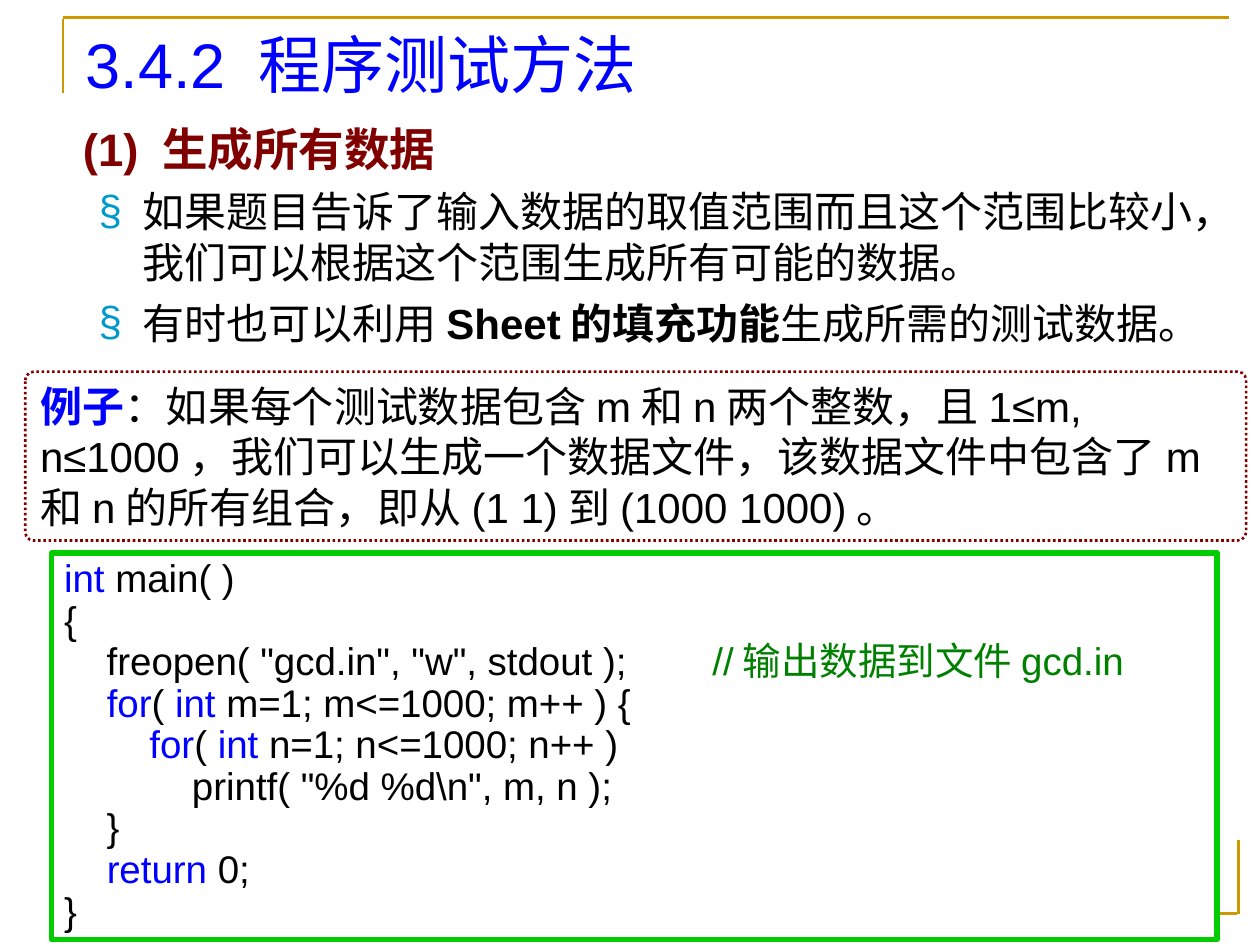
from lxml import etree
from pptx import Presentation
from pptx import util as u
from pptx.dml.color import RGBColor
from pptx.enum import dml, shapes, text
from pptx.oxml.ns import qn

COLORS = {
    "black": "000000", "white": "FFFFFF", "blue": "0000FF", "maroon": "800000",
    "comment": "008000", "frame": "00CC00", "gold": "CC9900", "bullet": "0099CC",
}


def rgb(name):
    return RGBColor.from_string(COLORS[name])


class SlideBuilder:
    font = "Arial"

    def __init__(self, prs):
        self.slide = prs.slides.add_slide(prs.slide_layouts[5])

    def style(self, r, size, color="black", bold=False):
        r.font.name = self.font
        r.font.size = u.Pt(size)
        r.font.bold = bold
        r.font.color.rgb = rgb(color)

    def title(self, wording, x, y, w, h, size):
        sp = self.slide.shapes.title
        sp.left, sp.top, sp.width, sp.height = map(u.Pt, (x, y, w, h))
        tf = sp.text_frame
        tf.text = wording
        tf.auto_size = text.MSO_AUTO_SIZE.NONE
        tf.vertical_anchor = text.MSO_ANCHOR.MIDDLE
        p = tf.paragraphs[0]
        p.alignment = text.PP_ALIGN.LEFT
        self.style(p.runs[0], size, "blue")

    def line(self, x1, y1, x2, y2):
        cn = self.slide.shapes.add_connector(
            shapes.MSO_CONNECTOR.STRAIGHT, *map(u.Pt, (x1, y1, x2, y2)))
        cn.line.color.rgb = rgb("gold")
        cn.line.width = u.Pt(1.5)
        etree.SubElement(cn._element.spPr, qn("a:effectLst"))

    def textbox(self, x, y, w, h):
        sp = self.slide.shapes.add_textbox(*map(u.Pt, (x, y, w, h)))
        sp.text_frame.word_wrap = True
        return sp.text_frame

    def panel(self, kind, x, y, w, h, color, width):
        sp = self.slide.shapes.add_shape(kind, *map(u.Pt, (x, y, w, h)))
        sp.shadow.inherit = False
        sp.fill.solid()
        sp.fill.fore_color.rgb = rgb("white")
        sp.line.color.rgb = rgb(color)
        sp.line.width = u.Pt(width)
        sp.text_frame.word_wrap = True
        return sp

    def paragraph(self, tf, runs, size, first=False, before=0, spacing=None):
        """Write one paragraph; each run is (wording, color, bold)."""
        p = tf.paragraphs[0] if first else tf.add_paragraph()
        p.alignment = text.PP_ALIGN.LEFT
        if before:
            p.space_before = u.Pt(before)
        if spacing:
            p.line_spacing = spacing
        for wording, *look in runs:
            r = p.add_run()
            r.text = wording
            self.style(r, size, *look)
        return p

    def bullet(self, p, indent, hang):
        pPr = p._p.get_or_add_pPr()
        pPr.set("marL", str(u.Pt(indent)))
        pPr.set("indent", str(-u.Pt(hang)))
        clr = etree.SubElement(pPr, qn("a:buClr"))
        etree.SubElement(clr, qn("a:srgbClr"), val=COLORS["bullet"])
        etree.SubElement(pPr, qn("a:buFont"), typeface=self.font)
        etree.SubElement(pPr, qn("a:buChar"), char="§")


def main():
    prs = Presentation()
    prs.slide_width, prs.slide_height = u.Pt(720), u.Pt(540)
    s = SlideBuilder(prs)

    # Corner lines
    s.line(36, 10.8, 36, 53.3)
    s.line(36, 10, 702, 10)
    s.line(707.8, 480, 707.8, 522)
    s.line(41, 522, 707, 522)

    # Title
    s.title("3.4.2 程序测试方法", 41.8, 12.2, 653.8, 48.2, 36)

    # Heading and bullets
    tf = s.textbox(40.3, 65.5, 656, 146)
    s.paragraph(tf, [("(1) 生成所有数据", "maroon", True)], 26, first=True)
    points = [
        [("如果题目告诉了输入数据的取值范围而且这个范围比较小，"
          "我们可以根据这个范围生成所有可能的数据。",)],
        [("有时也可以利用",), ("Sheet的填充功能", "black", True),
         ("生成所需的测试数据。",)],
    ]
    for runs in points:
        s.bullet(s.paragraph(tf, runs, 24, before=6), 34, 25)

    # Example
    sp = s.panel(shapes.MSO_SHAPE.ROUNDED_RECTANGLE,
                 14.4, 212.4, 697.7, 96.5, "maroon", 1.5)
    sp.adjustments[0] = 0.05
    sp.line.dash_style = dml.MSO_LINE.ROUND_DOT
    example = [
        ("例子", "blue", True),
        ("：如果每个测试数据包含m和n两个整数，且1≤m, n≤1000，"
         "我们可以生成一个数据文件，该数据文件中包含了m和n的所有组合，"
         "即从(1 1)到(1000 1000)。",),
    ]
    s.paragraph(sp.text_frame, example, 24, first=True)
    sp.text_frame.vertical_anchor = text.MSO_ANCHOR.TOP

    # Code
    sp = s.panel(shapes.MSO_SHAPE.RECTANGLE, 29.5, 316, 666, 221, "frame", 3)
    sp.text_frame.vertical_anchor = text.MSO_ANCHOR.MIDDLE
    code = [
        [("int", "blue"), (" main( )",)],
        [("{",)],
        [('    freopen( "gcd.in", "w", stdout );        ',),
         ("//输出数据到文件gcd.in", "comment")],
        [("    ",), ("for", "blue"), ("( ",), ("int", "blue"),
         (" m=1; m<=1000; m++ ) {",)],
        [("        ",), ("for", "blue"), ("( ",), ("int", "blue"),
         (" n=1; n<=1000; n++ )",)],
        [('            printf( "%d %d\\n", m, n );',)],
        [("    }",)],
        [("    ",), ("return", "blue"), (" 0;",)],
        [("}",)],
    ]
    for i, runs in enumerate(code):
        s.paragraph(sp.text_frame, runs, 22, first=i == 0, spacing=0.9)

    prs.save("out.pptx")


if __name__ == "__main__":
    main()
